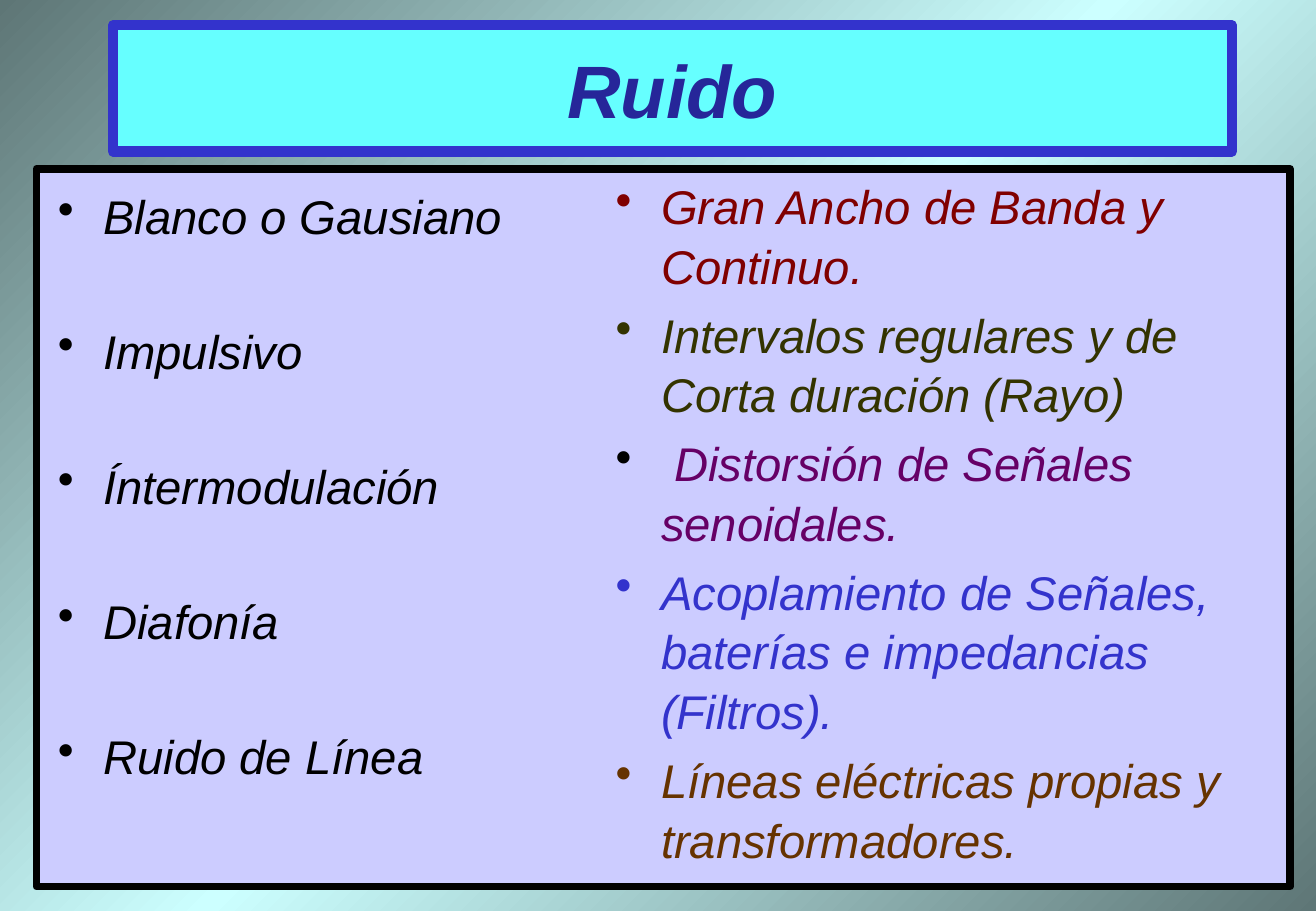
from copy import deepcopy
from dataclasses import dataclass

from lxml import etree
from pptx import Presentation
from pptx import util as u
from pptx.dml.color import RGBColor
from pptx.enum import shapes, text
from pptx.oxml import ns


@dataclass(frozen=True)
class Theme:
    font: str = "Arial"
    title_size: float = 44
    body_size: float = 28
    line_spacing: float = 1.05
    edge: str = "5E7676"
    glow: str = "CCFFFF"
    panel: str = "CCCCFF"
    banner: str = "66FFFF"
    title: str = "262699"
    black: str = "000000"
    maroon: str = "800000"
    olive: str = "333300"
    purple: str = "660066"
    blue: str = "3333CC"
    brown: str = "663300"


THEME = Theme()
NOISE_TYPES = ["Blanco o Gausiano", "Impulsivo", "Íntermodulación", "Diafonía", "Ruido de Línea"]
DESCRIPTIONS = [
    [("Gran Ancho de Banda y Continuo.", THEME.maroon)],
    [("Intervalos regulares y de Corta duración (Rayo)", THEME.olive)],
    [(" ", THEME.black), ("Distorsión de Señales senoidales.", THEME.purple)],
    [("Acoplamiento de Señales, baterías e impedancias (Filtros).", THEME.blue)],
    [("Líneas eléctricas propias y transformadores.", THEME.brown)],
]


def rgb(colour):
    return RGBColor.from_string(colour)


def style_run(run, size, colour, bold=False):
    run.font.name = THEME.font
    run.font.size = u.Pt(size)
    run.font.bold = bold
    run.font.italic = True
    run.font.color.rgb = rgb(colour)


def paint_background(slide):
    fill = slide.background.fill
    fill.gradient()
    fill.gradient_angle = 315
    first = slide.background._cSld.find(".//" + ns.qn("a:gs"))
    first.addnext(deepcopy(first))
    stops = [(0, THEME.edge), (0.5, THEME.glow), (1, THEME.edge)]
    for stop, (position, colour) in zip(fill.gradient_stops, stops):
        stop.position = position
        stop.color.rgb = rgb(colour)


def add_frame(slide, box, fill, border, width):
    frame = slide.shapes.add_shape(shapes.MSO_SHAPE.RECTANGLE, *box)
    frame.shadow.inherit = False
    frame.fill.solid()
    frame.fill.fore_color.rgb = rgb(fill)
    frame.line.color.rgb = rgb(border)
    frame.line.width = u.Pt(width)
    return frame


def add_banner(slide, box, heading):
    banner = add_frame(slide, box, THEME.banner, THEME.blue, 6)
    banner.text_frame.text = heading
    banner.text_frame.vertical_anchor = text.MSO_ANCHOR.MIDDLE
    paragraph = banner.text_frame.paragraphs[0]
    paragraph.alignment = text.PP_ALIGN.CENTER
    style_run(paragraph.runs[0], THEME.title_size, THEME.title, bold=True)


def add_bullets(slide, box, items, gap):
    frame = slide.shapes.add_textbox(*box).text_frame
    frame.word_wrap = True
    for index, item in enumerate(items):
        paragraph = frame.paragraphs[0] if index == 0 else frame.add_paragraph()
        paragraph.line_spacing = THEME.line_spacing
        paragraph.space_after = u.Pt(gap)
        properties = paragraph._p.get_or_add_pPr()
        properties.set("marL", str(u.Cm(0.95)))
        properties.set("indent", str(-u.Cm(0.95)))
        etree.SubElement(properties, ns.qn("a:buChar")).set("char", "•")
        for words, colour in item:
            run = paragraph.add_run()
            run.text = words
            style_run(run, THEME.body_size, colour)


def add_comparison(slide, box):
    left, top, width, height = box
    add_frame(slide, box, THEME.panel, THEME.black, 4.5)
    types_box = (left + u.Cm(0.2), top + u.Cm(0.2), u.Cm(11.45), u.Cm(13.35))
    add_bullets(slide, types_box, [[(name, THEME.black)] for name in NOISE_TYPES], 44.8)
    descriptions_box = (left + u.Cm(11.86), top, u.Cm(14.9), height)
    add_bullets(slide, descriptions_box, DESCRIPTIONS, 5.6)


def main():
    deck = Presentation()
    deck.slide_width, deck.slide_height = u.Cm(27.51), u.Cm(19.05)
    slide = deck.slides.add_slide(deck.slide_layouts[6])
    paint_background(slide)
    add_comparison(slide, (u.Cm(0.76), u.Cm(3.53), u.Cm(26.21), u.Cm(15.01)))
    add_banner(slide, (u.Cm(2.36), u.Cm(0.53), u.Cm(23.39), u.Cm(2.64)), "Ruido")
    deck.save("out.pptx")


if __name__ == "__main__":
    main()
